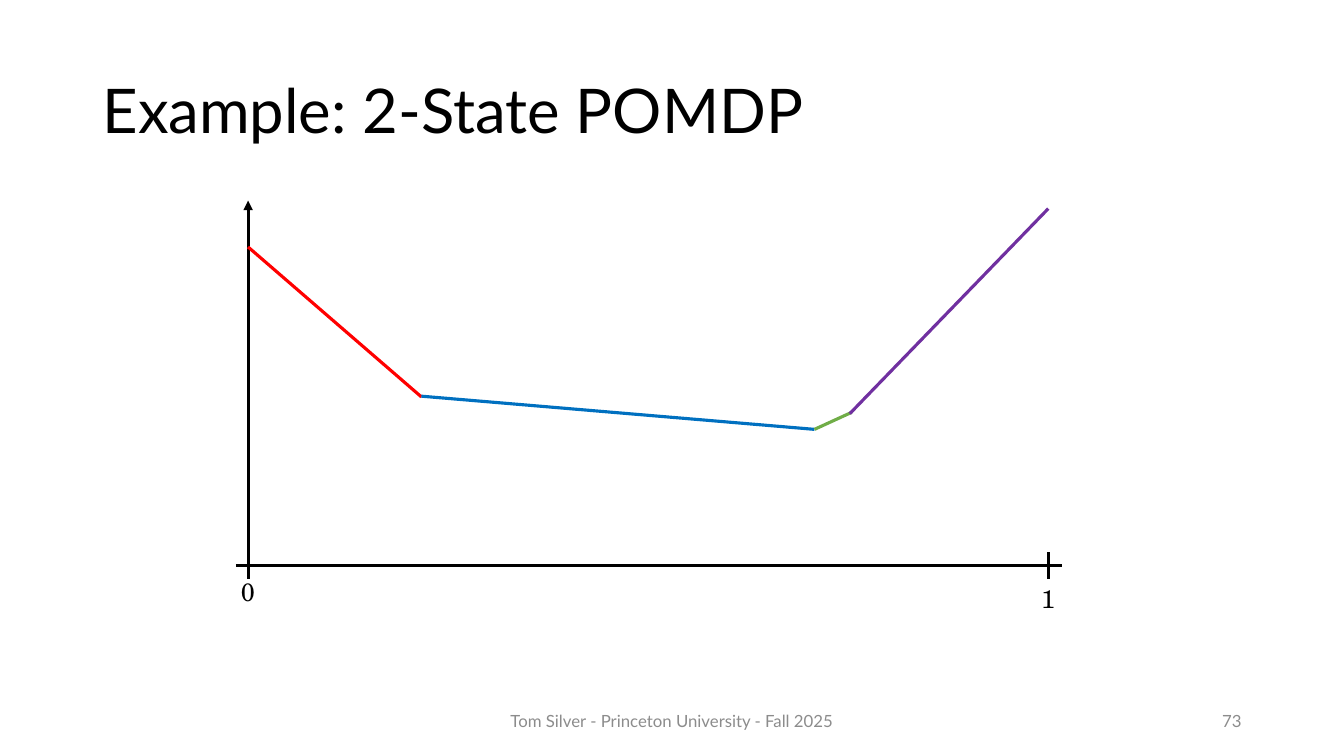
from lxml import etree
from pptx import Presentation
from pptx.dml.color import RGBColor
from pptx.enum import shapes, text
from pptx.oxml import ns
from pptx.util import Pt

COLORS = {
    "black": "000000",
    "grey": "8C8C8C",
    "red": "FF0000",
    "blue": "0070C0",
    "green": "70AD47",
    "purple": "7030A0",
}

deck = Presentation()
deck.slide_width, deck.slide_height = Pt(960), Pt(540)
page = deck.slides.add_slide(deck.slide_layouts[5])


def write(box, place, words, size, font, color, align, wrap=True):
    box.left, box.top, box.width, box.height = map(Pt, place)
    frame = box.text_frame
    frame.text = words
    frame.word_wrap = wrap
    para = frame.paragraphs[0]
    para.alignment = align
    span = para.runs[0]
    span.font.size = Pt(size)
    span.font.name = font
    span.font.color.rgb = RGBColor.from_string(COLORS[color])
    return frame


def draw_line(x1, y1, x2, y2, color):
    line = page.shapes.add_connector(
        shapes.MSO_CONNECTOR.STRAIGHT, Pt(x1), Pt(y1), Pt(x2), Pt(y2))
    line.line.width = Pt(2.25)
    line.line.color.rgb = RGBColor.from_string(COLORS[color])
    etree.SubElement(line._element.spPr, ns.qn("a:effectLst"))
    return line


# Title
title = write(page.shapes.title, (66, 28.8, 828, 104.4), "Example: 2-State POMDP",
              44, "Lato", "black", text.PP_ALIGN.LEFT)
title.vertical_anchor = text.MSO_ANCHOR.MIDDLE
title.paragraphs[0].line_spacing = 0.9

# Footer and page number
for words, left, width, align in (
    ("Tom Silver - Princeton University - Fall 2025", 318, 324, text.PP_ALIGN.CENTER),
    ("73", 678, 216, text.PP_ALIGN.RIGHT),
):
    box = page.shapes.add_textbox(0, 0, 0, 0)
    frame = write(box, (left, 500.5, width, 28.8), words, 12, "Lato", "grey", align)
    frame.vertical_anchor = text.MSO_ANCHOR.MIDDLE

# Horizontal axis with its end ticks and labels
axis_y, axis_left, axis_right = 403.9, 177.2, 748.8
draw_line(168.5, axis_y, 758.9, axis_y, "black")
for label, x, top in (("0", axis_left, 408.2), ("1", axis_right, 413.3)):
    draw_line(x, axis_y - 9.4, x, axis_y + 9.4, "black")
    box = page.shapes.add_textbox(0, 0, 0, 0)
    write(box, (x - 12.2, top, 24.4, 28.8), label, 18, "TeX Gyre Schola", "black",
          text.PP_ALIGN.LEFT, wrap=False)

# Vertical axis with arrowhead at the top
value_axis = draw_line(axis_left, 143.3, axis_left, axis_y, "black")
etree.SubElement(value_axis.line._get_or_add_ln(), ns.qn("a:headEnd"), type="triangle")

# Piecewise linear value function
for segment in (
    (axis_left, 176.4, 301, 283.5, "red"),
    (301, 283, 581.8, 306.7, "blue"),
    (581.8, 306.7, 608.4, 294.5, "green"),
    (607, 295.5, axis_right, 149, "purple"),
):
    draw_line(*segment)

deck.save("out.pptx")
